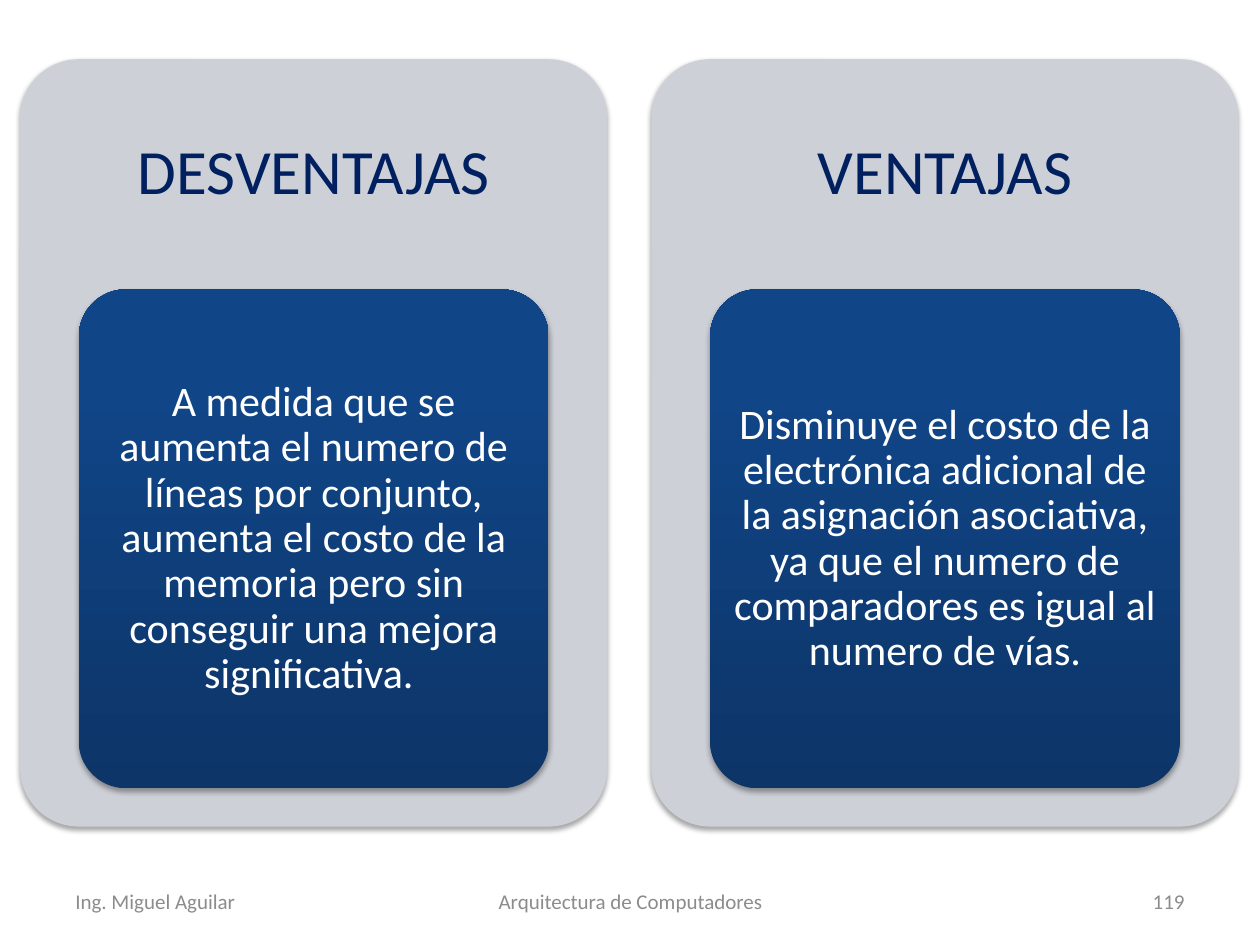
from copy import deepcopy

from lxml import etree
from pptx import Presentation
from pptx.dml.color import RGBColor
from pptx.enum.shapes import MSO_SHAPE
from pptx.enum.text import MSO_ANCHOR, PP_ALIGN
from pptx.oxml.ns import qn
from pptx.util import Inches, Pt

ROUND = MSO_SHAPE.ROUNDED_RECTANGLE
MIDDLE = MSO_ANCHOR.MIDDLE
LEFT, CENTER, RIGHT = PP_ALIGN.LEFT, PP_ALIGN.CENTER, PP_ALIGN.RIGHT

FONT = "Calibri"
GRAY, NAVY, WHITE, PALE = "8C8C8C", "002060", "FFFFFF", "CDD0D7"
STOPS = [(0, "0D3568"), (0.8, "104587"), (1, "0E458A")]

PANELS = [
    ("DESVENTAJAS",
     "A medida que se aumenta el numero de líneas por conjunto, aumenta el costo "
     "de la memoria pero sin conseguir una mejora significativa. "),
    ("VENTAJAS",
     "Disminuye el costo de la electrónica adicional de la asignación asociativa, "
     "ya que el numero de comparadores es igual al numero de vías."),
]
NOTES = [
    ("Ing. Miguel Aguilar", 0, 2.33, LEFT),
    ("Arquitectura de Computadores", 2.92, 3.17, CENTER),
    ("119", 6.67, 2.33, RIGHT),
]


def color(code):
    """Turn a hex string into a colour."""
    return RGBColor.from_string(code)


def add_text(slide, box, text, size, tint, align=CENTER, pad=(0.1, 0.05), space=1.0):
    """Place one middle-anchored paragraph in a box."""
    frame = slide.shapes.add_textbox(*map(Inches, box)).text_frame
    frame.word_wrap = True
    frame.vertical_anchor = MIDDLE
    frame.margin_left = frame.margin_right = Inches(pad[0])
    frame.margin_top = frame.margin_bottom = Inches(pad[1])
    para = frame.paragraphs[0]
    para.alignment = align
    para.line_spacing = space
    run = para.add_run()
    run.text = text
    run.font.name = FONT
    run.font.size = Pt(size)
    run.font.color.rgb = color(tint)


def add_shadow(shape):
    """Give a shape a soft shadow that falls straight down."""
    shape.shadow.inherit = False
    effects = shape._element.spPr.find(qn("a:effectLst"))
    outer = etree.SubElement(
        effects, qn("a:outerShdw"), blurRad=str(Pt(3.1)), dist=str(Pt(1.8)),
        dir="5400000", rotWithShape="0")
    black = etree.SubElement(outer, qn("a:srgbClr"), val="000000")
    etree.SubElement(black, qn("a:alpha"), val="35000")


def add_card(slide, box):
    """Draw a rounded card without outline and return it."""
    card = slide.shapes.add_shape(ROUND, *map(Inches, box))
    card.adjustments[0] = 0.1
    card.line.fill.background()
    add_shadow(card)
    return card


def fill_fade(shape):
    """Fill a shape with the blue fade, darkest at the bottom."""
    fill = shape.fill
    fill.gradient()
    fill.gradient_angle = 90
    stops = shape._element.spPr.find(".//" + qn("a:gsLst"))
    stops.append(deepcopy(stops[0]))
    for stop, (place, tint) in zip(fill.gradient_stops, STOPS):
        stop.position = place
        stop.color.rgb = color(tint)


def add_panel(slide, box, title, body):
    """Draw a pale panel with its title and blue text card."""
    left, top, width, height = box
    back = add_card(slide, box)
    back.fill.solid()
    back.fill.fore_color.rgb = color(PALE)
    head = height * 0.3
    add_text(slide, (left, top, width, head), title, 36, NAVY, pad=(0.15, 0.15), space=0.9)
    x, y, w, h = left + width * 0.1, top + head, width * 0.8, height * 0.65
    fill_fade(add_card(slide, (x, y, w, h)))
    inset = 0.11
    inner = (x + inset, y + inset, w - 2 * inset, h - 2 * inset)
    add_text(slide, inner, body, 24, WHITE, pad=(0.07, 0.05), space=0.9)


def add_footer(slide, box):
    """Write the author, course and page number."""
    left, top, _, height = box
    for text, shift, width, align in NOTES:
        add_text(slide, (left + shift, top, width, height), text, 12, GRAY, align)


def main():
    """Build and save the slide."""
    deck = Presentation()
    deck.slide_width, deck.slide_height = Inches(10), Inches(7.5)
    slide = deck.slides.add_slide(deck.slide_layouts[6])
    add_footer(slide, (0.5, 6.95, 9, 0.4))
    for index, (title, body) in enumerate(PANELS):
        add_panel(slide, (0.16 + index * 5.01, 0.47, 4.66, 6.09), title, body)
    deck.save("out.pptx")


if __name__ == "__main__":
    main()
